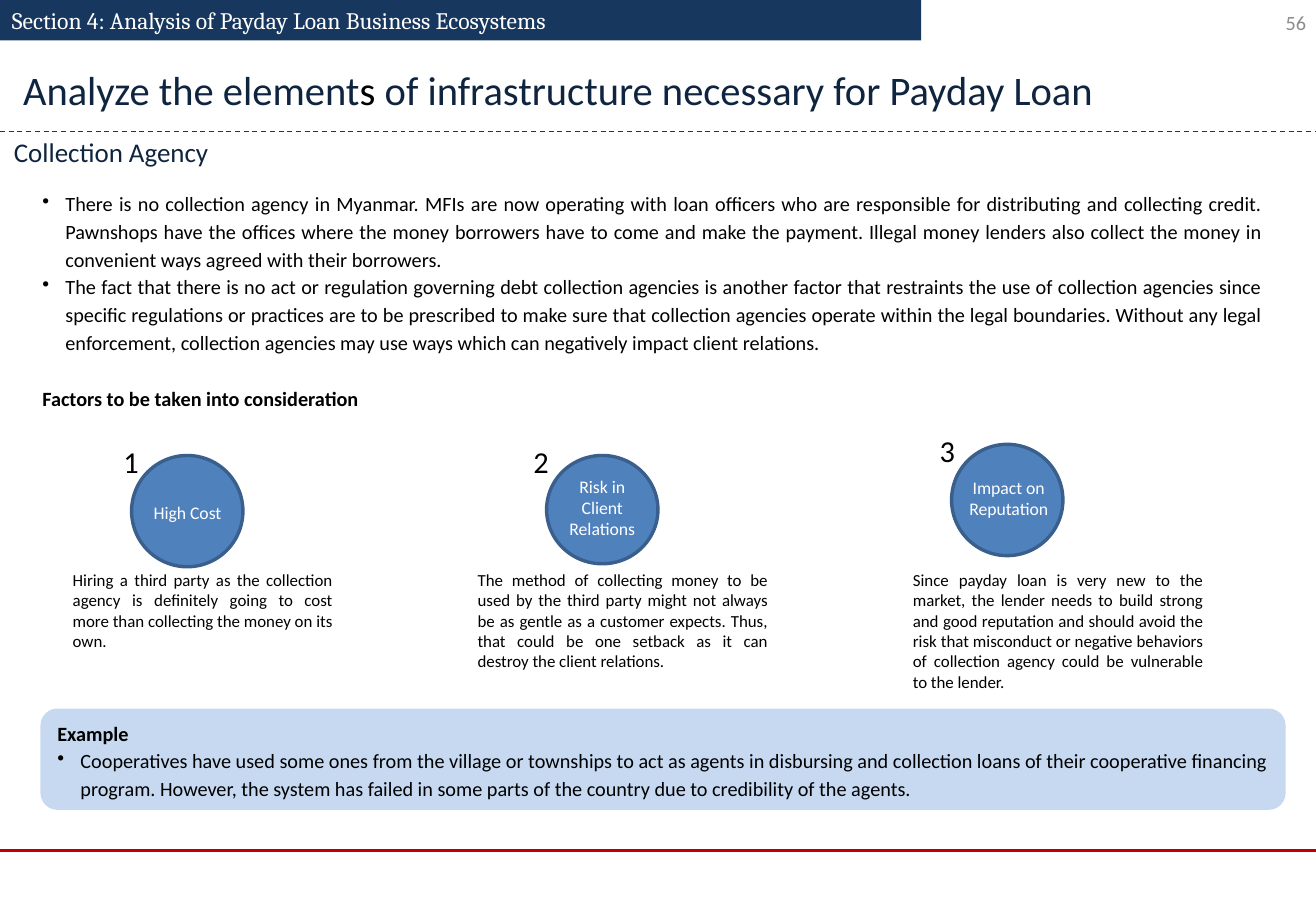
from typing import NamedTuple

from lxml import etree
from pptx import Presentation
from pptx.dml.color import RGBColor
from pptx.enum.dml import MSO_LINE
from pptx.enum.shapes import MSO_CONNECTOR, MSO_SHAPE
from pptx.enum.text import MSO_ANCHOR, PP_ALIGN
from pptx.oxml.ns import qn
from pptx.util import Inches, Pt

LEFT, RIGHT, MID, JUST = PP_ALIGN.LEFT, PP_ALIGN.RIGHT, PP_ALIGN.CENTER, PP_ALIGN.JUSTIFY
TOP, CENTRE = MSO_ANCHOR.TOP, MSO_ANCHOR.MIDDLE
RECT, ROUND, OVAL = MSO_SHAPE.RECTANGLE, MSO_SHAPE.ROUNDED_RECTANGLE, MSO_SHAPE.OVAL
STRAIGHT, DASH = MSO_CONNECTOR.STRAIGHT, MSO_LINE.DASH

WIDE, HIGH = Inches(10.83), Inches(7.5)
COLS, ROWS = 130, 90
BLACK, WHITE, GREY = "000000", "FFFFFF", "8C8C8C"
NAVY, INK, RED = "17375E", "0F243E", "C00000"
BLUE, EDGE, PALE = "4F81BD", "3A5F8C", "C6D9F1"
INDENT = Inches(0.19)


class Box(NamedTuple):
    """A place on the grid, in columns and rows."""
    col: float
    row: float
    cols: float
    rows: float


class Run(NamedTuple):
    text: str
    size: float
    color: str = BLACK
    bold: bool = False
    font: str = "Calibri"


class Para(NamedTuple):
    runs: list[Run]
    align: PP_ALIGN = LEFT
    lead: float = 1.0
    bullet: bool = False
    before: float = 0


class Factor(NamedTuple):
    mark: str
    mark_box: Box
    disc: Box
    name: str
    name_box: Box
    align: PP_ALIGN
    note: str
    note_box: Box


FACTORS = [
    Factor("1", Box(11, 43.2, 4, 4.8), Box(13, 45, 11, 11),
           "High Cost", Box(14, 49, 10, 3.4), LEFT,
           "Hiring a third party as the collection agency is definitely going to cost "
           "more than collecting the money on its own. ", Box(6, 55.7, 28, 11.3)),
    Factor("2", Box(51.5, 43.2, 3.5, 4.8), Box(54, 45, 11, 10.7),
           "Risk in Client Relations", Box(54, 46.4, 11, 7.6), MID,
           "The method of collecting money to be used by the third party might not "
           "always be as gentle as a customer expects. Thus, that could be one setback "
           "as it can destroy the client relations.", Box(46, 55.7, 31, 13.3)),
    Factor("3", Box(92, 42.1, 2, 4.8), Box(94, 43.9, 11, 11),
           "Impact on Reputation", Box(94, 46.5, 11.3, 5.4), MID,
           "Since payday loan is very new to the market, the lender needs to build "
           "strong and good reputation and should avoid the risk that misconduct or "
           "negative behaviors of collection agency could be vulnerable to the lender.",
           Box(89, 55.7, 31, 15.4)),
]

POINTS = [
    "There is no collection agency in Myanmar. MFIs are now operating with loan officers "
    "who are responsible for distributing and collecting credit. Pawnshops have the "
    "offices where the money borrowers have to come and make the payment. Illegal money "
    "lenders also collect the money in convenient ways agreed with their borrowers. ",
    "The fact that there is no act or regulation governing debt collection agencies is "
    "another factor that restraints the use of collection agencies since specific "
    "regulations or practices are to be prescribed to make sure that collection agencies "
    "operate within the legal boundaries. Without any legal enforcement, collection "
    "agencies may use ways which can negatively impact client relations.",
]
EXAMPLE = ("Cooperatives have used some ones from the village or townships to act as agents "
           "in disbursing and collection loans of their cooperative financing program. "
           "However, the system has failed in some parts of the country due to credibility "
           "of the agents.")


def rgb(code: str) -> RGBColor:
    return RGBColor.from_string(code)


def across(cols: float) -> int:
    return round(WIDE * cols / COLS)


def down(rows: float) -> int:
    return round(HIGH * rows / ROWS)


def place(box: Box) -> tuple[int, int, int, int]:
    return across(box.col), down(box.row), across(box.cols), down(box.rows)


def write(shape, paras: list[Para], anchor=TOP) -> None:
    frame = shape.text_frame
    frame.word_wrap = True
    frame.vertical_anchor = anchor
    for i, para in enumerate(paras):
        line = frame.paragraphs[0] if i == 0 else frame.add_paragraph()
        line.alignment = para.align
        line.line_spacing = para.lead
        if para.before:
            line.space_before = Pt(para.before)
        if para.bullet:
            props = line._p.get_or_add_pPr()
            props.set("marL", str(INDENT))
            props.set("indent", str(-INDENT))
            etree.SubElement(props, qn("a:buChar")).set("char", "•")
        for part in para.runs:
            run = line.add_run()
            run.text = part.text
            run.font.size = Pt(part.size)
            run.font.name = part.font
            run.font.bold = part.bold
            run.font.color.rgb = rgb(part.color)


def label(slide, box: Box, paras: list[Para], anchor=TOP) -> None:
    write(slide.shapes.add_textbox(*place(box)), paras, anchor)


def block(slide, kind: MSO_SHAPE, box: Box, fill: str, edge: str = ""):
    shape = slide.shapes.add_shape(kind, *place(box))
    shape.shadow.inherit = False
    shape.fill.solid()
    shape.fill.fore_color.rgb = rgb(fill)
    if edge:
        shape.line.color.rgb = rgb(edge)
        shape.line.width = Pt(2)
    else:
        shape.line.fill.background()
    return shape


def rule(slide, row: float, color: str, width: float, dash=None) -> None:
    """Draw a line over the full width of the slide."""
    line = slide.shapes.add_connector(STRAIGHT, 0, down(row), WIDE, down(row))
    line.line.color.rgb = rgb(color)
    line.line.width = Pt(width)
    if dash:
        line.line.dash_style = dash
    etree.SubElement(line._element.spPr, qn("a:effectLst"))


def show(slide, item: Factor) -> None:
    block(slide, OVAL, item.disc, BLUE, EDGE)
    label(slide, item.name_box, [Para([Run(item.name, 10.5, WHITE)], item.align)])
    label(slide, item.note_box, [Para([Run(item.note, 10)], JUST)])
    label(slide, item.mark_box, [Para([Run(item.mark, 18)])])


def main() -> None:
    deck = Presentation()
    deck.slide_width, deck.slide_height = WIDE, HIGH
    slide = deck.slides.add_slide(deck.slide_layouts[6])

    label(slide, Box(99.8, -0.2, 30.4, 4.8), [Para([Run("56", 12, GREY)], RIGHT)], CENTRE)
    rule(slide, 84, RED, 1.5)
    block(slide, RECT, Box(0, 0, 91, 4), NAVY)
    rule(slide, 13, NAVY, 0.75, DASH)
    label(slide, Box(0, 0, 91, 4), [Para([
        Run("Section 4: Analysis of Payday Loan Business Ecosystems", 14, WHITE,
            font="Cambria")])])
    label(slide, Box(1.1, 5.8, 124, 6), [Para([
        Run("Analyze the element", 24, INK), Run("s", 24),
        Run(" of infrastructure necessary for Payday Loan", 24, INK)])])
    label(slide, Box(0.2, 12.8, 120, 4.4), [Para([Run("Collection Agency", 16, INK)])])

    body = [Para([Run(text, 12)], JUST, 1.14, True) for text in POINTS]
    head = Run("Factors to be taken into consideration", 12, bold=True)
    label(slide, Box(3, 18, 123, 24), body + [Para([head], JUST, 1.14, before=16.7)])

    for item in FACTORS:
        show(slide, item)

    write(block(slide, ROUND, Box(4, 70, 123, 10), PALE), [
        Para([Run("Example", 12, bold=True)], JUST, 1.14),
        Para([Run(EXAMPLE, 12)], JUST, 1.14, True)], CENTRE)
    deck.save("out.pptx")


if __name__ == "__main__":
    main()
